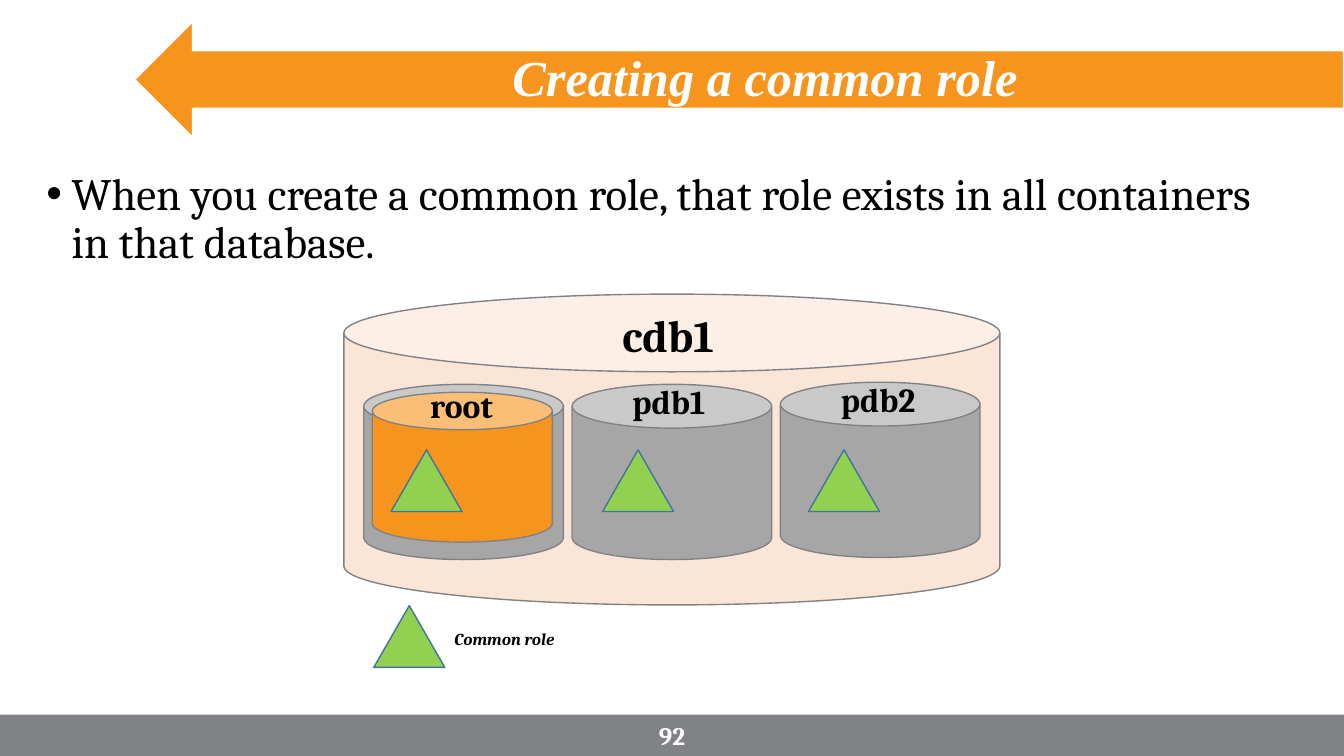
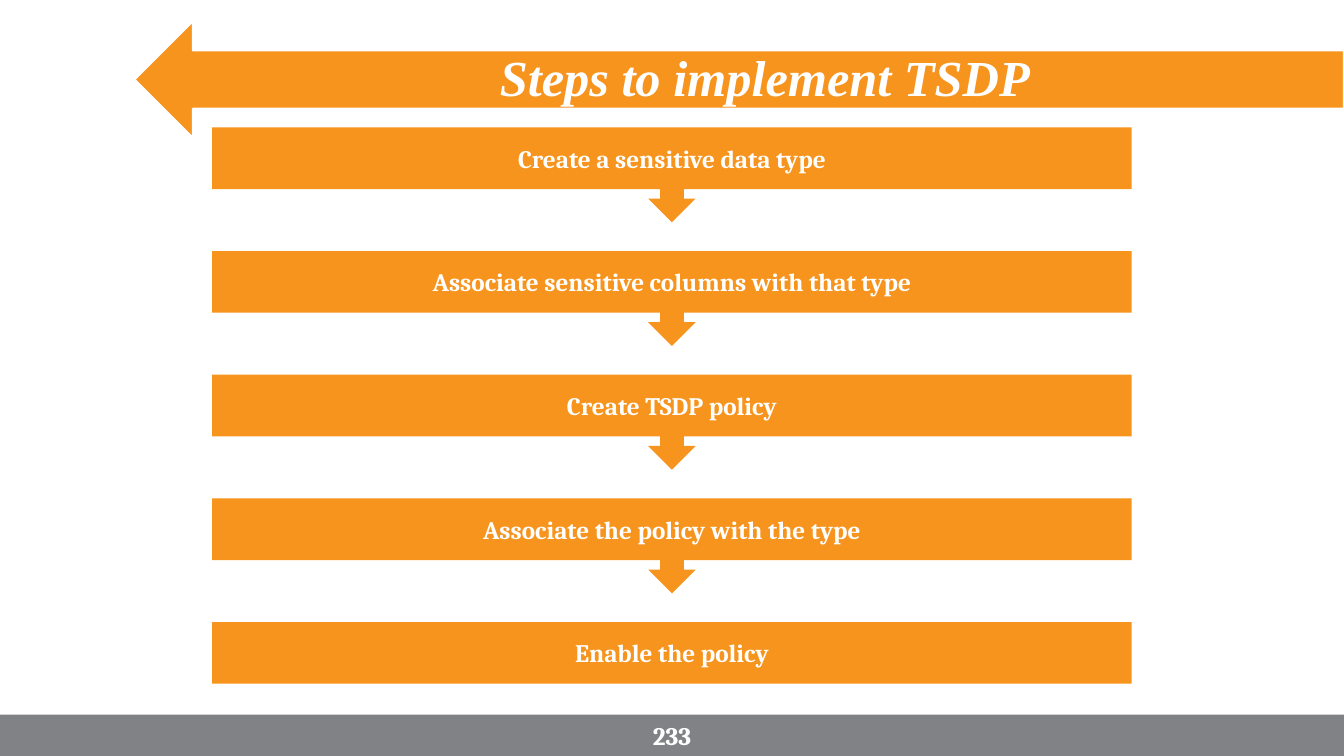
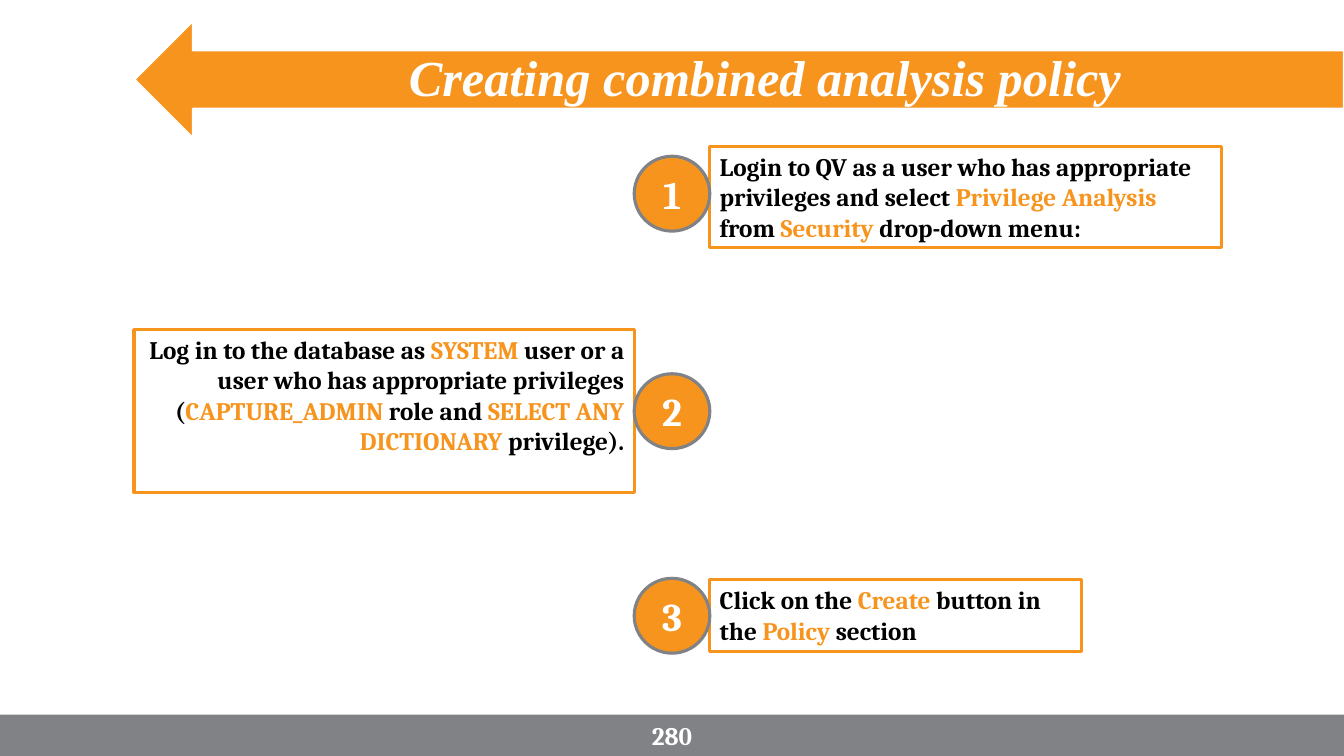
"""Build three database security slides with a shared arrow title and footer band."""
import dataclasses

import pptx
import pptx.dml.color
import pptx.enum.shapes
import pptx.enum.text
import pptx.util

Pt = pptx.util.Pt
Kind = pptx.enum.shapes.MSO_SHAPE
Align = pptx.enum.text.PP_ALIGN
Anchor = pptx.enum.text.MSO_ANCHOR
AutoSize = pptx.enum.text.MSO_AUTO_SIZE


@dataclasses.dataclass(frozen=True)
class Theme:
    orange: str = "F7941D"
    gray: str = "818286"
    silver: str = "A6A6A6"
    peach: str = "FBE5D6"
    green: str = "92D050"
    blue: str = "43739E"
    white: str = "FFFFFF"
    black: str = "000000"
    font: str = "Cambria"
    title_font: str = "Times New Roman"
    title: int = 36
    large: int = 32
    number: int = 28
    label: int = 24
    text: int = 18
    note: int = 12


THEME = Theme()

SLIDE_SIZE = (960, 540)
ARROW = (96, 15.1, 864, 83.5)
BAND = (0, 510.5, 960, 29.5)
TITLE = (119.5, 31, 854, 52)
PAGE_NUMBER = (453, 510.5, 54, 29)

ROLE_TEXT = ("When you create a common role, that role exists in all containers "
             "in that database.")
ROLE_BODY = (26, 118.8, 906.5, 342.7)
CANS = [
    ((245.6, 210.1, 468.6, 222), THEME.peach),
    ((259.8, 274.5, 142.6, 125.2), THEME.silver),
    ((265.9, 280.2, 128.7, 107.1), THEME.orange),
    ((408.6, 274.5, 142.6, 125.2), THEME.silver),
    ((557.4, 273, 142.6, 125.2), THEME.silver),
]
CAN_LABELS = [
    ("cdb1", (437.5, 216, 84.2, 46), THEME.large, False),
    ("root", (300.2, 271.4, 59, 36), THEME.label, False),
    ("pdb1", (444.6, 268.6, 71, 36), THEME.label, False),
    ("pdb2", (593.6, 267.1, 71, 36), THEME.label, False),
    ("Common role", (317.5, 445.7, 87, 21.8), THEME.note, True),
]
TRIANGLES = [(279.3, 321.3), (430.4, 321.3), (577.5, 321.3), (267, 432.6)]
TRIANGLE_SIZE = (50.7, 44.1)

STEPS = [
    "Create a sensitive data type",
    "Associate sensitive columns with that type",
    "Create TSDP policy",
    "Associate the policy with the type",
    "Enable the policy",
]
STEP_LEFT, STEP_TOP, STEP_WIDTH, STEP_PITCH = 151.6, 91, 656.7, 88.35
CALLOUT_HEIGHT, LAST_HEIGHT = 67.8, 44

POLICY_STEPS = [
    ("Login to QV as a user who has appropriate privileges and select "
     "|Privilege Analysis |from |Security| drop-down menu:",
     (507, 104.6, 365.8, 72.5), Align.LEFT, 111.6),
    ("Log in to the database as |SYSTEM| user or a user who has appropriate "
     "privileges (|CAPTURE_ADMIN| role and |SELECT ANY DICTIONARY| privilege).",
     (95.7, 235.4, 357.3, 116.6), Align.RIGHT, 267),
    ("Click on the |Create| button in the |Policy| section",
     (507, 414.1, 265.7, 51.3), Align.LEFT, 413.1),
]
CIRCLE_LEFT, CIRCLE_WIDTH, CIRCLE_HEIGHT = 453, 54, 53.5


def color(value):
    return pptx.dml.color.RGBColor.from_string(value)


def place(shape, at):
    shape.left, shape.top, shape.width, shape.height = map(Pt, at)


def write(box, text, *, size=THEME.text, fill=THEME.white, accent=THEME.orange,
          font=THEME.font, bold=True, italic=False, align=Align.CENTER,
          anchor=Anchor.MIDDLE, wrap=True, spacing=None, indent=None):
    """Fill a shape with one paragraph; parts between bars take the accent colour."""
    frame = box.text_frame
    frame.word_wrap = wrap
    frame.auto_size = AutoSize.NONE if wrap else AutoSize.SHAPE_TO_FIT_TEXT
    frame.vertical_anchor = anchor
    para = frame.paragraphs[0]
    para.alignment = align
    para.space_before = Pt(0)
    if spacing:
        para.line_spacing = spacing
    if indent:
        properties = para._p.get_or_add_pPr()
        properties.set("marL", str(Pt(indent)))
        properties.set("indent", str(-Pt(indent)))
    for index, part in enumerate(text.split("|")):
        span = para.add_run()
        span.text = part
        span.font.name = font
        span.font.size = Pt(size)
        span.font.bold = bold
        span.font.italic = italic
        span.font.color.rgb = color(accent if index % 2 else fill)


def add_shape(page, kind, at, fill, line=None, weight=1):
    shape = page.shapes.add_shape(kind, *map(Pt, at))
    shape.shadow.inherit = False
    shape.fill.solid()
    shape.fill.fore_color.rgb = color(fill)
    if line:
        shape.line.color.rgb = color(line)
        shape.line.width = Pt(weight)
    else:
        shape.line.fill.background()
    return shape


def add_text(page, text, at, **style):
    write(page.shapes.add_textbox(*map(Pt, at)), text, **style)


def dress_master(deck, page):
    """Place the title and move the shared arrow and band to the slide master."""
    master = deck.slide_master
    place(master.placeholders.get(pptx.enum.shapes.PP_PLACEHOLDER.TITLE), TITLE)
    arrow = add_shape(page, Kind.LEFT_ARROW, ARROW, THEME.orange, THEME.white, 1.5)
    band = add_shape(page, Kind.RECTANGLE, BAND, THEME.gray)
    for index, shape in enumerate((arrow, band)):
        shape.element.xpath(".//p:cNvPr")[0].set("id", str(100 + index))
        master.shapes.element.insert(2 + index, shape.element)


def add_page(deck, layout, title, number):
    page = deck.slides.add_slide(deck.slide_layouts[layout])
    write(page.shapes.title, title, size=THEME.title, font=THEME.title_font,
          italic=True, spacing=0.9)
    add_text(page, number, PAGE_NUMBER)
    return page


def draw_roles(page):
    body = page.placeholders[1]
    place(body, ROLE_BODY)
    write(body, ROLE_TEXT, size=THEME.large, fill=THEME.black, bold=False,
          align=Align.LEFT, anchor=Anchor.TOP, spacing=0.9, indent=18)
    for at, fill in CANS:
        add_shape(page, Kind.CAN, at, fill, THEME.gray)
    for text, at, size, italic in CAN_LABELS:
        add_text(page, text, at, size=size, fill=THEME.black, italic=italic,
                 align=Align.LEFT, anchor=Anchor.TOP, wrap=False)
    for corner in TRIANGLES:
        add_shape(page, Kind.ISOSCELES_TRIANGLE, corner + TRIANGLE_SIZE,
                  THEME.green, THEME.blue)


def draw_steps(page):
    for index, text in enumerate(STEPS):
        last = index == len(STEPS) - 1
        kind = Kind.RECTANGLE if last else Kind.DOWN_ARROW_CALLOUT
        height = LAST_HEIGHT if last else CALLOUT_HEIGHT
        at = (STEP_LEFT, STEP_TOP + index * STEP_PITCH, STEP_WIDTH, height)
        write(add_shape(page, kind, at, THEME.orange), text)


def draw_policy(page):
    for number, (text, at, align, top) in enumerate(POLICY_STEPS, 1):
        box = add_shape(page, Kind.RECTANGLE, at, THEME.white, THEME.orange, 2.25)
        write(box, text, fill=THEME.black, align=align, anchor=Anchor.TOP)
        circle = add_shape(page, Kind.OVAL,
                           (CIRCLE_LEFT, top, CIRCLE_WIDTH, CIRCLE_HEIGHT),
                           THEME.orange, THEME.gray, 2.25)
        write(circle, str(number), size=THEME.number)


PAGES = [
    (1, "Creating a common role", "92", draw_roles),
    (5, "Steps to implement TSDP", "233", draw_steps),
    (5, "Creating combined analysis policy", "280", draw_policy),
]


def main():
    deck = pptx.Presentation()
    deck.slide_width, deck.slide_height = map(Pt, SLIDE_SIZE)
    for layout, title, number, draw in PAGES:
        draw(add_page(deck, layout, title, number))
    dress_master(deck, deck.slides[0])
    deck.save("out.pptx")


if __name__ == "__main__":
    main()
